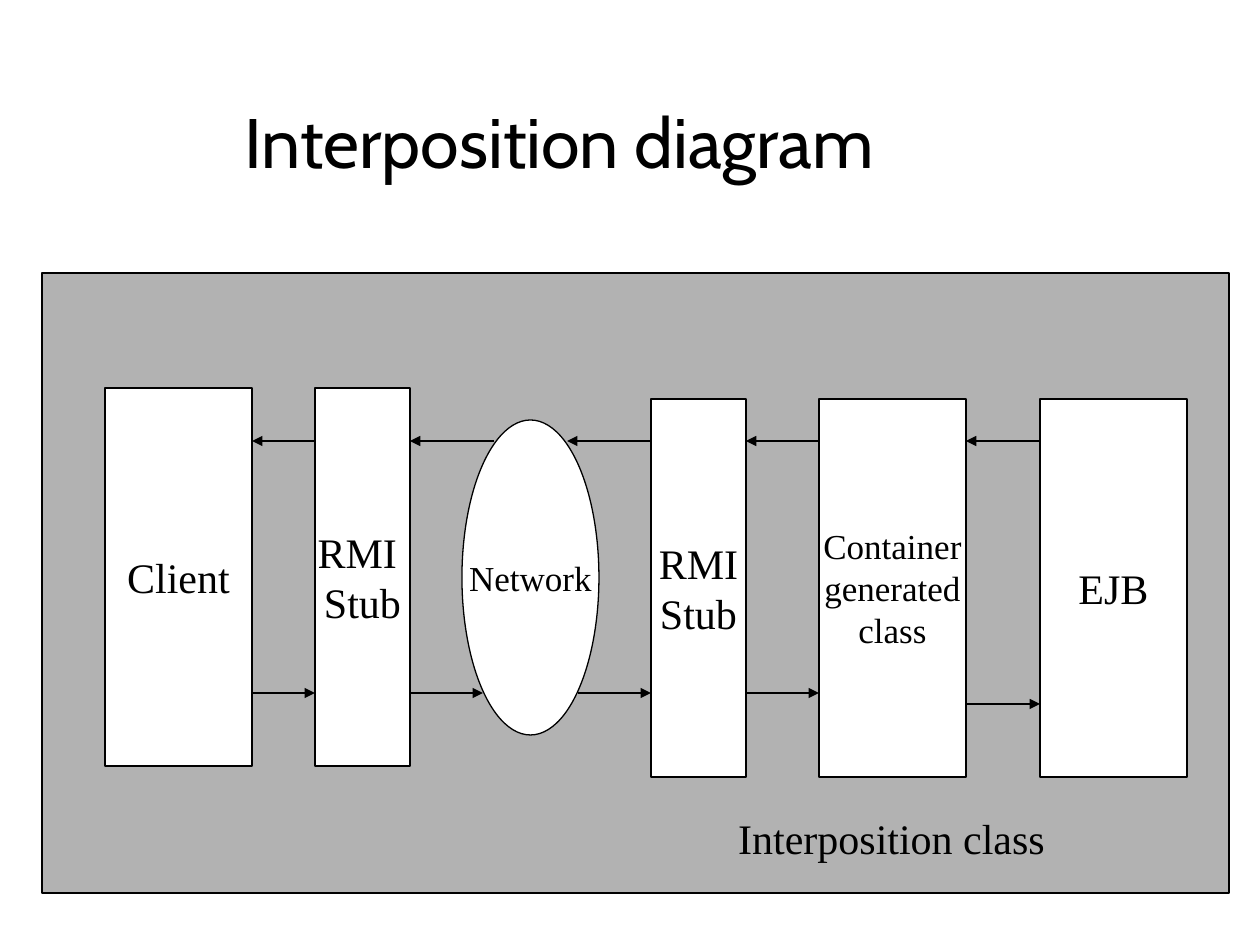
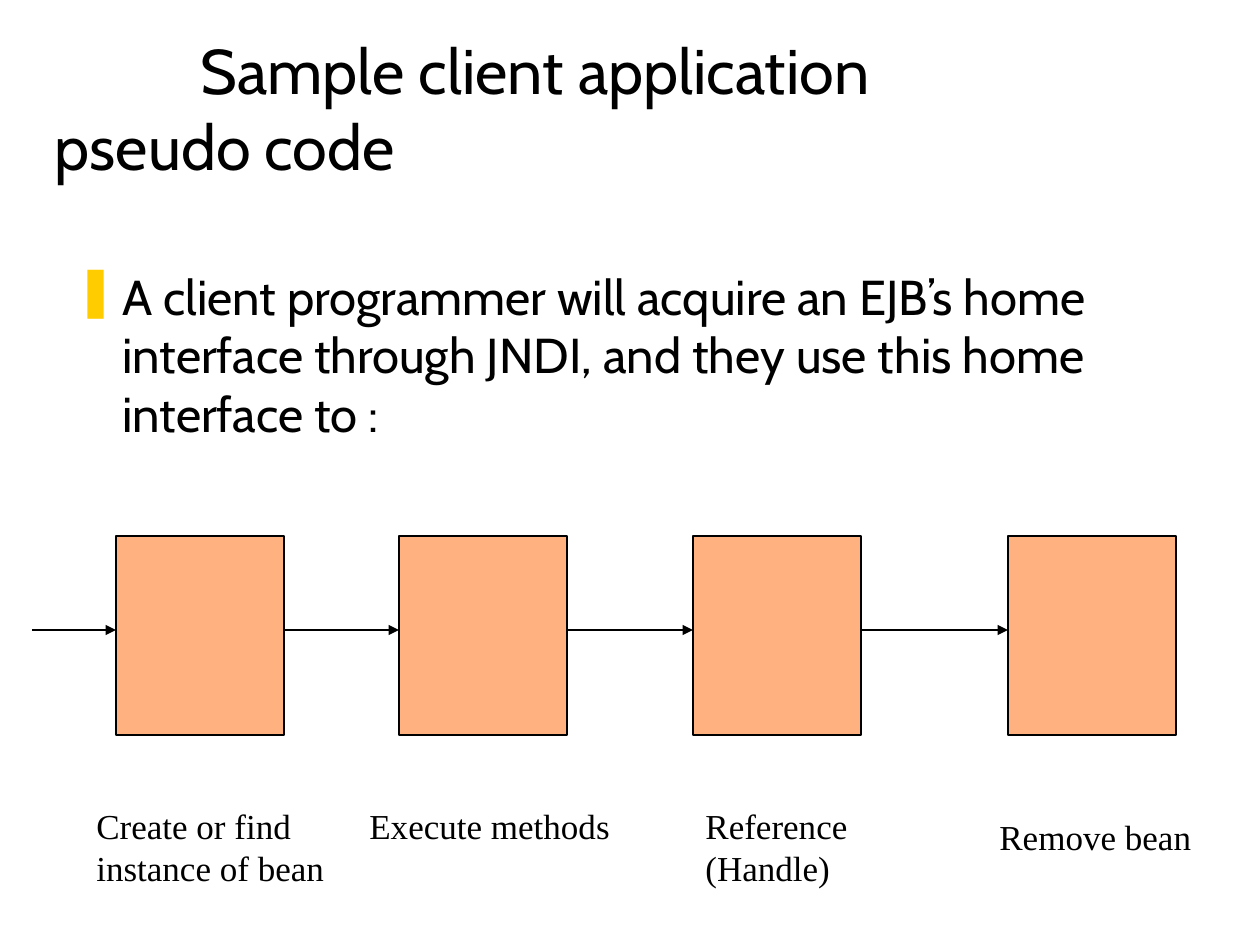
from lxml import etree
from pptx import Presentation
from pptx.dml.color import RGBColor
from pptx.enum.shapes import MSO_CONNECTOR, MSO_SHAPE
from pptx.enum.text import MSO_ANCHOR, MSO_AUTO_SIZE, PP_ALIGN
from pptx.oxml.ns import qn
from pptx.util import Emu, Pt

BLACK = RGBColor(0x00, 0x00, 0x00)
WHITE = RGBColor(0xFF, 0xFF, 0xFF)
GREY = RGBColor(0xB2, 0xB2, 0xB2)
ORANGE = RGBColor(0xFF, 0x66, 0x00)
BULLET_YELLOW = "FFCC00"
SANS, SERIF = "Cabin", "Times New Roman"
LINE_WIDTH = Pt(0.75)
PX = 914400 / 126


def add_box(s, kind, bounds, fill, text="", size=24, align=PP_ALIGN.CENTER):
    sp = s.shapes.add_shape(kind, *[Emu(round(v * PX)) for v in bounds])
    sp.shadow.inherit = False
    sp.fill.solid()
    sp.fill.fore_color.rgb = fill
    sp.line.color.rgb = BLACK
    sp.line.width = LINE_WIDTH
    tf = sp.text_frame
    tf.word_wrap = False
    tf.text = text
    for p in tf.paragraphs:
        p.alignment = align
        p.font.name, p.font.size, p.font.color.rgb = SERIF, Pt(size), BLACK
    return sp


def add_arrow(s, x1, x2, y):
    """Draw a level arrow whose head is at x2."""
    ends = [Emu(round(v * PX)) for v in (x1, y, x2, y)]
    line = s.shapes.add_connector(MSO_CONNECTOR.STRAIGHT, *ends)
    line.line.color.rgb = BLACK
    line.line.width = LINE_WIDTH
    etree.SubElement(line.line._get_or_add_ln(), qn("a:tailEnd"), type="triangle")
    etree.SubElement(line._element.spPr, qn("a:effectLst"))


prs = Presentation()
prs.slide_width, prs.slide_height = Emu(round(1260 * PX)), Emu(round(945 * PX))

# Titles: text, left, width, size, first-line indent
titles = [
    ("Interposition diagram", 55, 1071, 40, 177),
    ("Sample client application\vpseudo code", 42, 1187, 36, 146),
]
for text, left, width, size, indent in titles:
    s = prs.slides.add_slide(prs.slide_layouts[5])
    title = s.shapes.title
    title.left, title.top, title.width, title.height = [
        Emu(round(v * PX)) for v in (left, 31, width, 158)]
    tf = title.text_frame
    tf.text = text
    tf.auto_size = MSO_AUTO_SIZE.NONE
    tf.vertical_anchor = MSO_ANCHOR.BOTTOM
    p = tf.paragraphs[0]
    p.alignment = PP_ALIGN.LEFT
    p.font.name, p.font.size, p.font.color.rgb = SANS, Pt(size), BLACK
    p._p.get_or_add_pPr().set("indent", str(round(indent * PX)))
diagram, pseudo_code = prs.slides

# Interposition diagram
panel = add_box(diagram, MSO_SHAPE.RECTANGLE, (42, 273, 1187, 620), GREY,
                "Interposition class", align=PP_ALIGN.RIGHT)
tf = panel.text_frame
tf.word_wrap = True
tf.vertical_anchor = MSO_ANCHOR.BOTTOM
tf.margin_right, tf.margin_bottom = Emu(round(184 * PX)), Emu(round(30 * PX))

RECT, OVAL = MSO_SHAPE.RECTANGLE, MSO_SHAPE.OVAL
stages = [
    (RECT, (105, 388, 147, 378), "Client", 24),
    (RECT, (315, 388, 95, 378), "RMI \nStub", 24),
    (OVAL, (462, 420, 137, 315), "Network", 20),
    (RECT, (651, 399, 95, 378), "RMI\nStub", 24),
    (RECT, (819, 399, 147, 378), "Container\ngenerated\nclass", 20),
    (RECT, (1040, 399, 147, 378), "EJB", 24),
]
for kind, bounds, text, size in stages:
    add_box(diagram, kind, bounds, WHITE, text, size)

for left, right in [(252, 315), (410, 494), (567, 651), (746, 819), (966, 1040)]:
    add_arrow(diagram, right, left, 441)
for left, right, y in [(252, 315, 693), (410, 483, 693), (578, 651, 693),
                       (746, 819, 693), (966, 1040, 704)]:
    add_arrow(diagram, left, right, y)

# Client pseudo code
body = pseudo_code.shapes.add_textbox(
    *[Emu(round(v * PX)) for v in (63, 260, 1126, 200)])
tf = body.text_frame
tf.word_wrap = True
tf.text = ("A client programmer will acquire an EJB’s home interface through "
           "JNDI, and they use this home interface to :")
p = tf.paragraphs[0]
p.space_before = Pt(7)
p.font.name, p.font.size, p.font.color.rgb = SANS, Pt(28), BLACK
pPr = p._p.get_or_add_pPr()
hang = round(47 * PX)
pPr.set("marL", str(hang))
pPr.set("indent", str(-hang))
bullet = etree.Element(qn("a:buClr"))
etree.SubElement(bullet, qn("a:srgbClr"), val=BULLET_YELLOW)
mark = etree.Element(qn("a:buChar"), char="❚")
pPr.find(qn("a:spcBef")).addnext(bullet)
bullet.addnext(mark)

STEP_W = 168
# Steps: box left, caption, caption bounds
steps = [
    (116, "Create or find\ninstance of bean", (84, 798, 253, 97)),
    (399, "Execute methods", (357, 798, 266, 55)),
    (693, "Reference\n(Handle)", (693, 798, 168, 97)),
    (1008, "Remove bean", (987, 809, 217, 55)),
]
arrow_start = 32
for left, caption, bounds in steps:
    step = add_box(pseudo_code, RECT, (left, 536, STEP_W, 199), ORANGE)
    color = step._element.spPr.find(qn("a:solidFill"))[0]
    etree.SubElement(color, qn("a:alpha"), val="50000")
    add_arrow(pseudo_code, arrow_start, left, 630)
    arrow_start = left + STEP_W

    tb = pseudo_code.shapes.add_textbox(*[Emu(round(v * PX)) for v in bounds])
    tf = tb.text_frame
    tf.word_wrap = False
    tf.text = caption
    for p in tf.paragraphs:
        p.font.name, p.font.size, p.font.color.rgb = SERIF, Pt(20), BLACK

prs.save("out.pptx")
